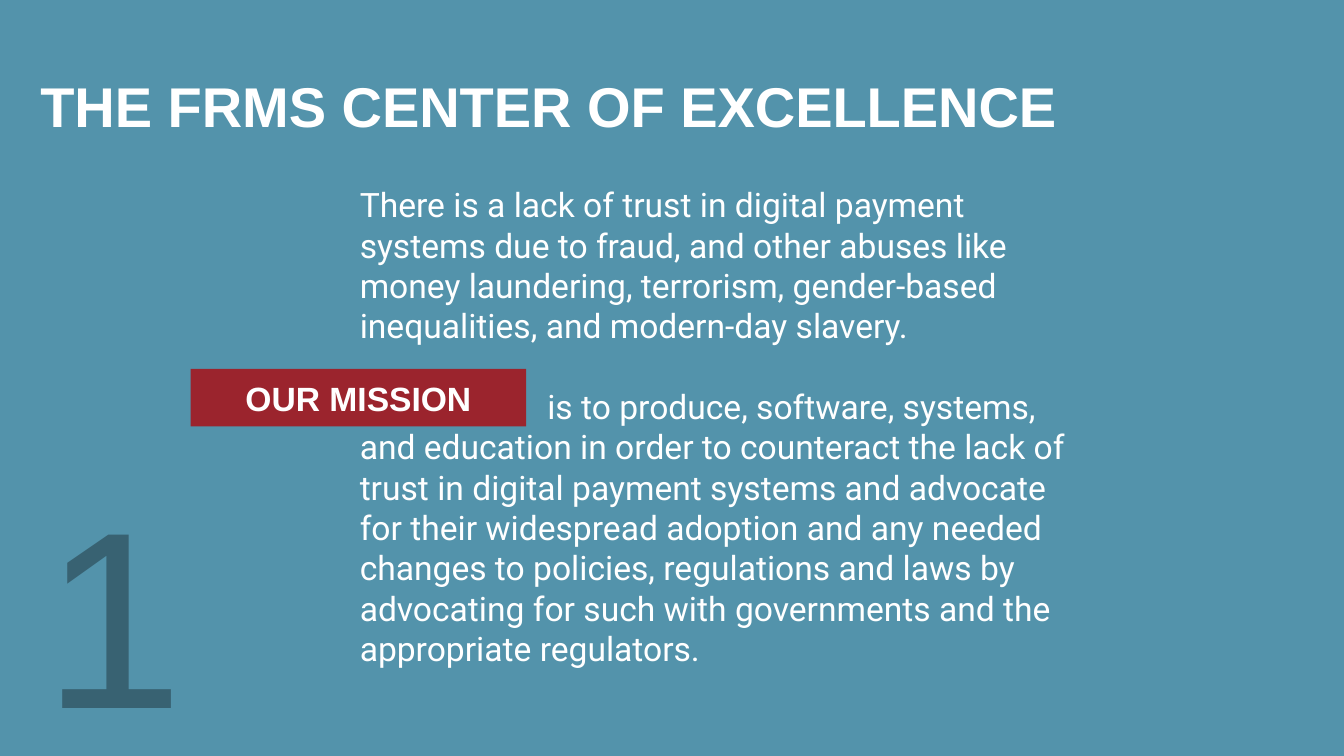
from pptx import Presentation
from pptx import util as u
from pptx.dml.color import RGBColor
from pptx.enum import shapes, text

WIDTH, HEIGHT = 13.33, 7.5
WHITE, TEAL, SLATE, RED = "FFFFFF", "5393AB", "386272", "9B242D"


def colour(hex_code):
    return RGBColor.from_string(hex_code)


class MissionSlide:
    heading_font = "Arial"
    body_font = "Roboto"

    def __init__(self, deck):
        self.deck = deck
        self.slide = deck.slides.add_slide(deck.slide_layouts[6])

    def place(self, left, top, width, height):
        across, down = self.deck.slide_width, self.deck.slide_height
        return [int(share * side) for share, side in
                zip((left, top, width, height), (across, down, across, down))]

    def fill_text(self, holder, wording, size, font, ink, bold=False,
                  insets=(0, 0, 0, 0), anchor=text.MSO_ANCHOR.TOP,
                  align=text.PP_ALIGN.LEFT):
        frame = holder.text_frame
        frame.text = wording
        frame.word_wrap = True
        frame.vertical_anchor = anchor
        (frame.margin_left, frame.margin_top,
         frame.margin_right, frame.margin_bottom) = map(u.Inches, insets)
        for paragraph in frame.paragraphs:
            paragraph.alignment = align
            for run in paragraph.runs:
                run.font.size = u.Pt(size)
                run.font.name = font
                run.font.bold = bold
                run.font.color.rgb = colour(ink)
        return frame

    def panel(self, area, fill, wording, size, **layout):
        block = self.slide.shapes.add_shape(
            shapes.MSO_SHAPE.RECTANGLE, *self.place(*area))
        block.shadow.inherit = False
        block.fill.solid()
        block.fill.fore_color.rgb = colour(fill)
        block.line.fill.background()
        return self.fill_text(block, wording, size, self.heading_font, WHITE,
                              bold=True, **layout)

    def words(self, area, wording, size, font, ink, **layout):
        box = self.slide.shapes.add_textbox(*self.place(*area))
        return self.fill_text(box, wording, size, font, ink, **layout)

    def indent_first_line(self, paragraph, inches):
        properties = paragraph._p.get_or_add_pPr()
        properties.set("marL", "0")
        properties.set("indent", str(u.Inches(inches)))


def main():
    deck = Presentation()
    deck.slide_width, deck.slide_height = u.Inches(WIDTH), u.Inches(HEIGHT)
    page = MissionSlide(deck)

    title = page.panel((0, 0, 1, 1), TEAL, "THE FRMS CENTER OF EXCELLENCE", 40,
                       insets=(0.4, 0.75, 0.4, 2)).paragraphs[0]
    title.line_spacing = u.Pt(45.3)
    title.space_before = u.Pt(16)

    page.words((0.43 / WIDTH, 4.53 / HEIGHT, 3.43 / WIDTH, 2.58 / HEIGHT),
               "1", 180, page.heading_font, SLATE)

    story = page.words(
        (3.47 / WIDTH, 1.78 / HEIGHT, 7.2 / WIDTH, 4.95 / HEIGHT),
        "There is a lack of trust in digital payment systems due to fraud, "
        "and other abuses like money laundering, terrorism, gender-based "
        "inequalities, and modern-day slavery.\n"
        "is to produce, software, systems, and education in order to "
        "counteract the lack of trust in digital payment systems and advocate "
        "for their widespread adoption and any needed changes to policies, "
        "regulations and laws by advocating for such with governments and "
        "the appropriate regulators.",
        24, page.body_font, WHITE, insets=(0.1, 0.05, 0.1, 0.05))
    story.auto_size = text.MSO_AUTO_SIZE.SHAPE_TO_FIT_TEXT
    mission = story.paragraphs[1]
    mission.space_before = u.Pt(28.8)
    page.indent_first_line(mission, 1.86)

    page.panel((1.89 / WIDTH, 3.66 / HEIGHT, 3.33 / WIDTH, 0.57 / HEIGHT),
               RED, "OUR MISSION", 24, insets=(0.16, 0, 0.16, 0),
               anchor=text.MSO_ANCHOR.MIDDLE, align=text.PP_ALIGN.CENTER)

    deck.save("out.pptx")


if __name__ == "__main__":
    main()
